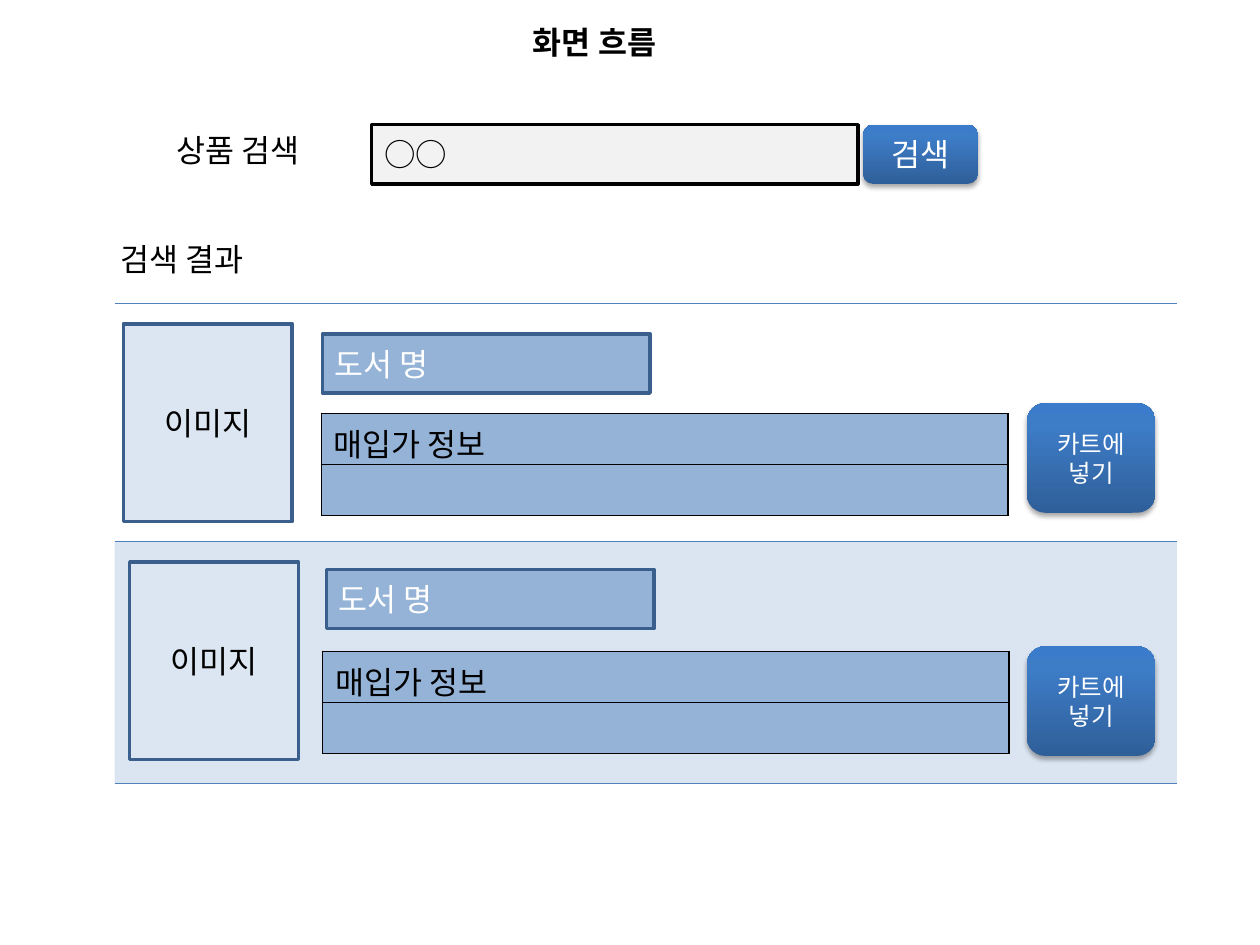
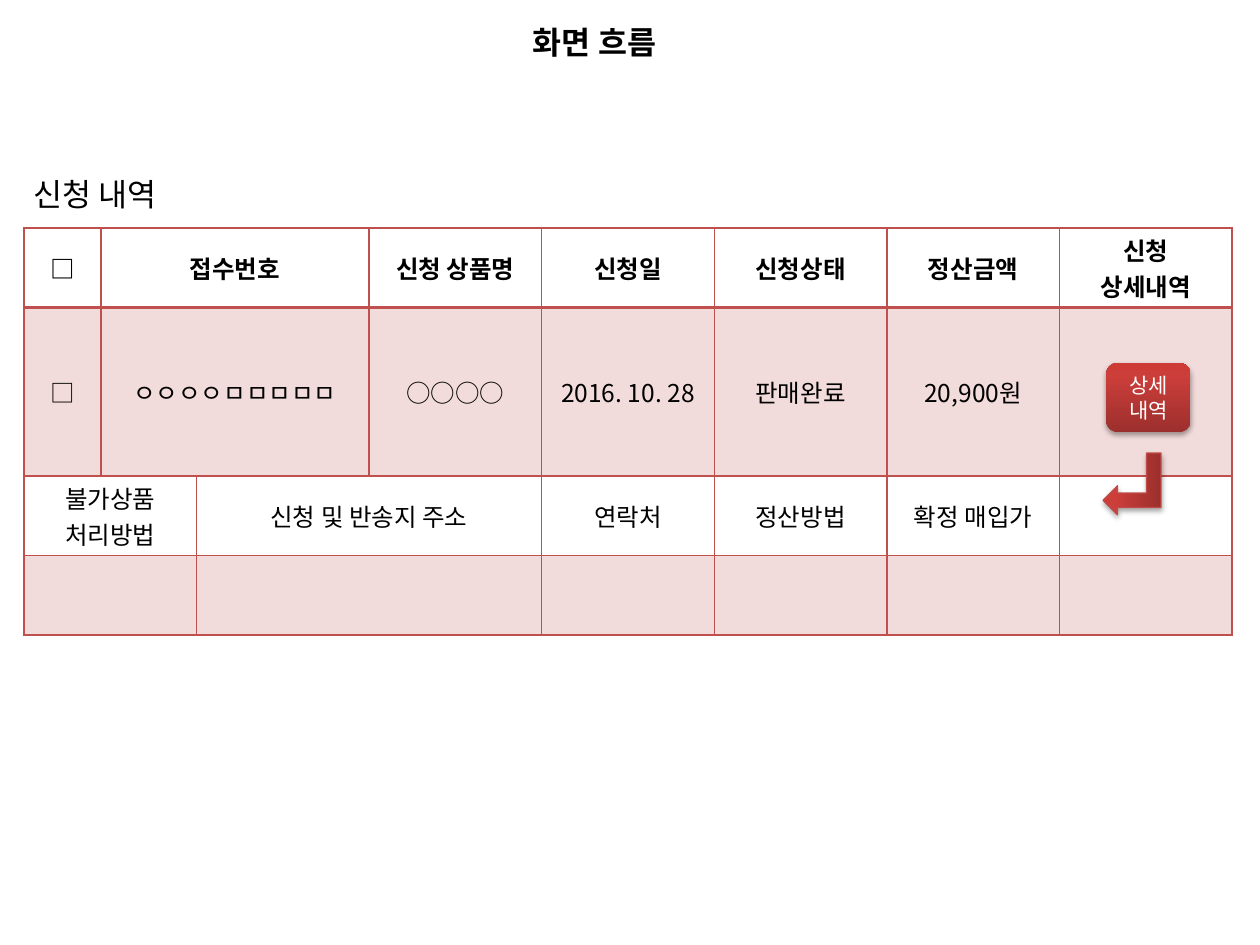
from lxml import etree
from pptx import Presentation
from pptx.dml.color import RGBColor
from pptx.enum.shapes import MSO_SHAPE
from pptx.enum.text import MSO_ANCHOR, MSO_AUTO_SIZE, PP_ALIGN
from pptx.oxml.ns import qn
from pptx.util import Pt

LEFT, CENTER = PP_ALIGN.LEFT, PP_ALIGN.CENTER
TOP, MIDDLE = MSO_ANCHOR.TOP, MSO_ANCHOR.MIDDLE
RECT, ROUNDED = MSO_SHAPE.RECTANGLE, MSO_SHAPE.ROUNDED_RECTANGLE
BENT_ARROW = MSO_SHAPE.BENT_UP_ARROW
NO_AUTOFIT = MSO_AUTO_SIZE.NONE

FONT = "Noto Sans CJK KR"
PLAIN_TABLE = "{2D5ABB26-0587-4C30-8999-92F81FD0307C}"
COLORS = {
    "black": "000000", "white": "FFFFFF", "field": "F2F2F2",
    "blue": "4F81BD", "pale": "DCE6F2", "soft": "95B3D7", "navy": "3A5F8C",
    "red": "C0504D", "arrow_line": "BF4C48",
}
GRADIENTS = {
    "blue": ((0, "2F5F99"), (80, "3D7CC7"), (100, "3A7CCB")),
    "red": ((0, "9C2F2D"), (80, "CB3E3A"), (100, "CE3B37")),
}


def write(frame, lines, size=18, color="black", align=LEFT, bold=False, anchor=MIDDLE):
    frame.word_wrap = True
    frame.vertical_anchor = anchor
    for number, line in enumerate(lines.split("\n")):
        para = frame.paragraphs[0] if number == 0 else frame.add_paragraph()
        para.alignment = align
        span = para.add_run()
        span.text = line
        span.font.size = Pt(size)
        span.font.bold = bold
        span.font.name = FONT
        span.font.color.rgb = RGBColor.from_string(COLORS[color])
        etree.SubElement(span.font._element, qn("a:ea"), typeface=FONT)


def style_cell(cell, borders, line, fill=None, alpha=100):
    props = cell._tc.get_or_add_tcPr()
    for side in "LRTB":
        if side in borders:
            edge = etree.SubElement(props, qn("a:ln" + side), w=str(Pt(borders[side])))
            paint = etree.SubElement(edge, qn("a:solidFill"))
            etree.SubElement(paint, qn("a:srgbClr"), val=COLORS[line])
    if fill is None:
        cell.fill.background()
        return
    cell.fill.solid()
    cell.fill.fore_color.rgb = RGBColor.from_string(COLORS[fill])
    if alpha < 100:
        tint = props.find(qn("a:solidFill")).find(qn("a:srgbClr"))
        etree.SubElement(tint, qn("a:alpha"), val=str(alpha * 1000))


deck = Presentation()
deck.slide_width, deck.slide_height = Pt(720), Pt(540)
pages = [deck.slides.add_slide(deck.slide_layouts[5]) for _ in range(2)]
for page in pages:
    title = page.shapes.title
    title.left, title.top, title.width, title.height = Pt(156.24), Pt(9.36), Pt(362.88), Pt(28.8)
    title.text_frame.auto_size = NO_AUTOFIT
    write(title.text_frame, " 화면 흐름", align=CENTER, bold=True, anchor=TOP)
search_page, history_page = pages

labels = [
    (search_page, "상품 검색", 93.6, 71.28),
    (search_page, "검색 결과", 61.92, 133.92),
    (history_page, "신청 내역", 12.24, 96.48),
]
for page, caption, left, top in labels:
    box = page.shapes.add_textbox(Pt(left), Pt(top), Pt(98), Pt(28.8))
    write(box.text_frame, caption, anchor=TOP)

result_tops = (173.52, 309.6)
price_tops = (236.16, 372.24)
result_list = search_page.shapes.add_table(2, 1, Pt(65.52), Pt(173.52), Pt(606.96), Pt(274.32))
price_tables = [
    search_page.shapes.add_table(2, 1, Pt(left), Pt(top), Pt(392.4), Pt(58.32))
    for left, top in zip((183.6, 184.32), price_tops)
]
history = history_page.shapes.add_table(4, 8, Pt(13.68), Pt(130.32), Pt(691.2), Pt(232.56))
for holder in [result_list, *price_tables, history]:
    table = holder.table
    table.first_row = table.horz_banding = False
    table._tbl.tblPr.find(qn("a:tableStyleId")).text = PLAIN_TABLE

result_rows = result_list.table
for row, height in zip(result_rows.rows, (136.08, 138.24)):
    row.height = Pt(height)
style_cell(result_rows.cell(0, 0), {"T": 1, "B": 1}, "blue")
style_cell(result_rows.cell(1, 0), {"T": 1, "B": 1}, "blue", "blue", 20)
for holder in price_tables:
    for cell in holder.table.iter_cells():
        style_cell(cell, dict.fromkeys("LRTB", 1), "black", "soft")
    write(holder.table.cell(0, 0).text_frame, "매입가 정보", anchor=TOP)

panels = [(212.4, 71.28, 277.92, 33.84, "field", "black", "○○", "black", LEFT)]
for image_left, image_top, name_left, name_top in (
    (70.56, 185.04, 184.32, 190.8),
    (74.16, 321.12, 186.48, 325.44),
):
    panels.append((image_left, image_top, 96.48, 113.04, "pale", "navy", "이미지", "black", CENTER))
    panels.append((name_left, name_top, 187.2, 33.84, "soft", "navy", "도서 명", "white", LEFT))
for left, top, width, height, fill, line, caption, color, align in panels:
    panel = search_page.shapes.add_shape(RECT, Pt(left), Pt(top), Pt(width), Pt(height))
    panel.shadow.inherit = False
    panel.fill.solid()
    panel.fill.fore_color.rgb = RGBColor.from_string(COLORS[fill])
    panel.line.color.rgb = RGBColor.from_string(COLORS[line])
    panel.line.width = Pt(2)
    write(panel.text_frame, caption, color=color, align=align)

column_widths = (43.92, 54.72, *[98.64] * 6)
for column, width in zip(history.table.columns, column_widths):
    column.width = Pt(width)
for row, height in zip(history.table.rows, (45.36, 96.48, 45.36, 45.36)):
    row.height = Pt(height)
for row in range(4):
    for column in range(8):
        borders = dict.fromkeys("LRTB", 1)
        if row == 0:
            borders["B"] = 2
        if row == 1:
            borders["T"] = 2
        cell = history.table.cell(row, column)
        cell.margin_top = cell.margin_bottom = Pt(2)
        style_cell(cell, borders, "red", "red" if row % 2 else None, 20)
    for start in (1,) if row < 2 else (0, 2):
        history.table.cell(row, start).merge(history.table.cell(row, start + 1))
history_texts = [
    {0: "□", 1: "접수번호", 3: "신청 상품명", 4: "신청일", 5: "신청상태", 6: "정산금액", 7: "신청\n상세내역"},
    {0: "□", 1: "ㅇㅇㅇㅇㅁㅁㅁㅁㅁ", 3: "○○○○", 4: "2016. 10. 28", 5: "판매완료", 6: "20,900원"},
    {0: "불가상품\n처리방법", 2: "신청 및 반송지 주소", 4: "연락처", 5: "정산방법", 6: "확정 매입가"},
]
for row, texts in enumerate(history_texts):
    for column, words in texts.items():
        cell = history.table.cell(row, column)
        write(cell.text_frame, words, 14, align=CENTER, bold=row == 0)
        cell.vertical_anchor = MIDDLE

buttons = [
    (search_page, ROUNDED, 493.2, 71.28, 65.52, 33.84, "blue", "검색", 18),
    (search_page, ROUNDED, 586.8, 230.4, 73.44, 62.64, "blue", "카트에 넣기", 14),
    (search_page, ROUNDED, 586.8, 369.36, 73.44, 62.64, "blue", "카트에 넣기", 14),
    (history_page, ROUNDED, 632.16, 207.36, 48.24, 39.6, "red", "상세내역", 12),
    (history_page, BENT_ARROW, 629.28, 259.92, 35.28, 33.12, "red", "", 12),
]
for page, kind, left, top, width, height, tone, caption, size in buttons:
    button = page.shapes.add_shape(kind, Pt(left), Pt(top), Pt(width), Pt(height))
    button.fill.gradient()
    button.fill.gradient_angle = 90
    props = button._element.spPr
    stops = props.find(qn("a:gradFill")).find(qn("a:gsLst"))
    for stop in list(stops):
        stops.remove(stop)
    for place, color in GRADIENTS[tone]:
        stop = etree.SubElement(stops, qn("a:gs"), pos=str(place * 1000))
        etree.SubElement(stop, qn("a:srgbClr"), val=color)
    button.shadow.inherit = False
    shadow = etree.SubElement(
        props.find(qn("a:effectLst")), qn("a:outerShdw"),
        blurRad=str(Pt(3.1)), dist=str(Pt(1.8)), dir="5400000", rotWithShape="0",
    )
    shade = etree.SubElement(shadow, qn("a:srgbClr"), val=COLORS["black"])
    etree.SubElement(shade, qn("a:alpha"), val="35000")
    if kind == BENT_ARROW:
        button.rotation = 90
        props.find(qn("a:xfrm")).set("flipV", "1")
        button.line.color.rgb = RGBColor.from_string(COLORS["arrow_line"])
        button.line.width = Pt(0.75)
    else:
        button.line.fill.background()
        write(button.text_frame, caption, size, "white", CENTER)

deck.save("out.pptx")
